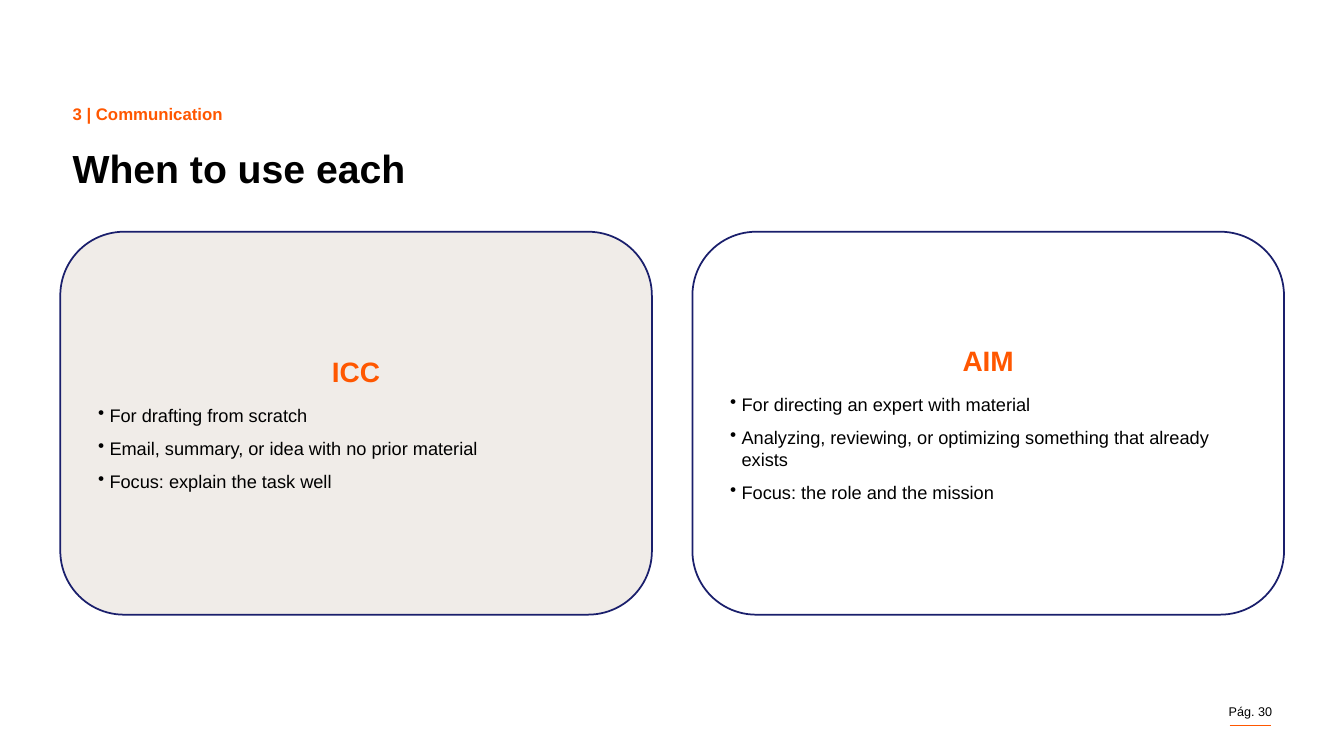
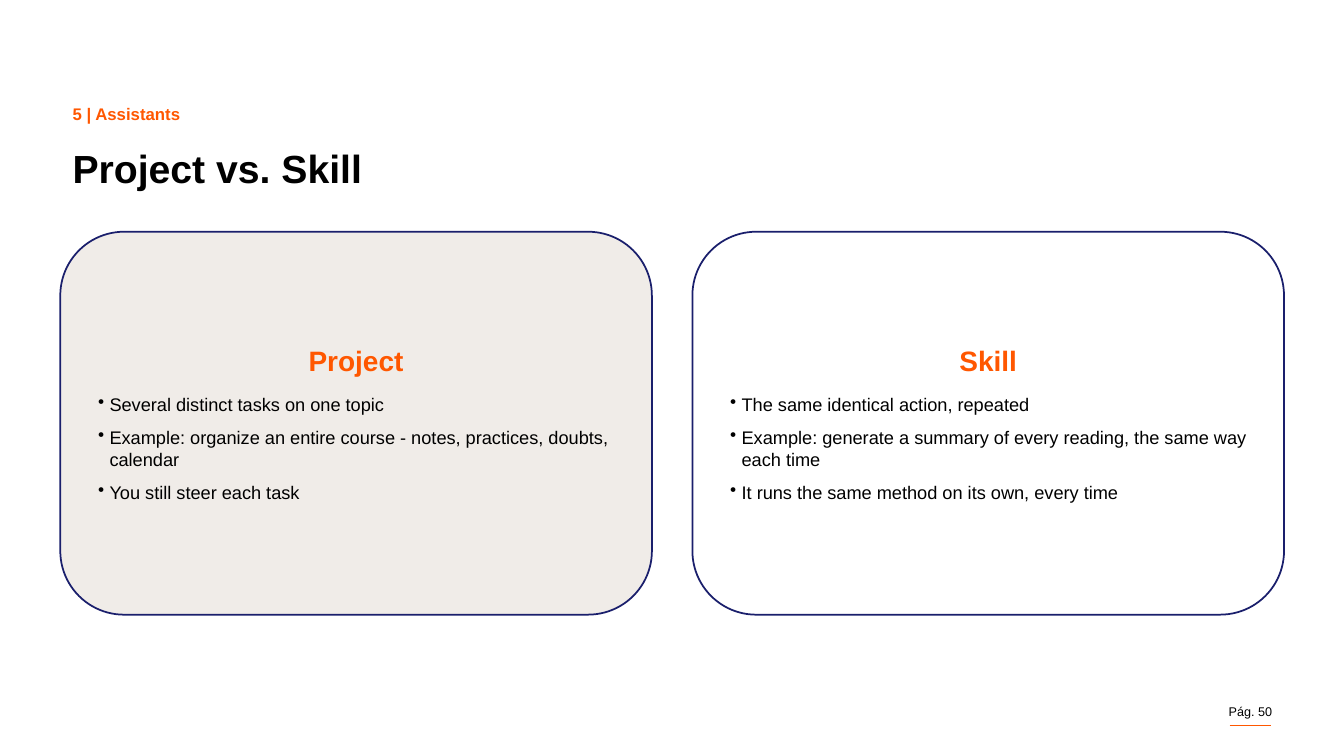
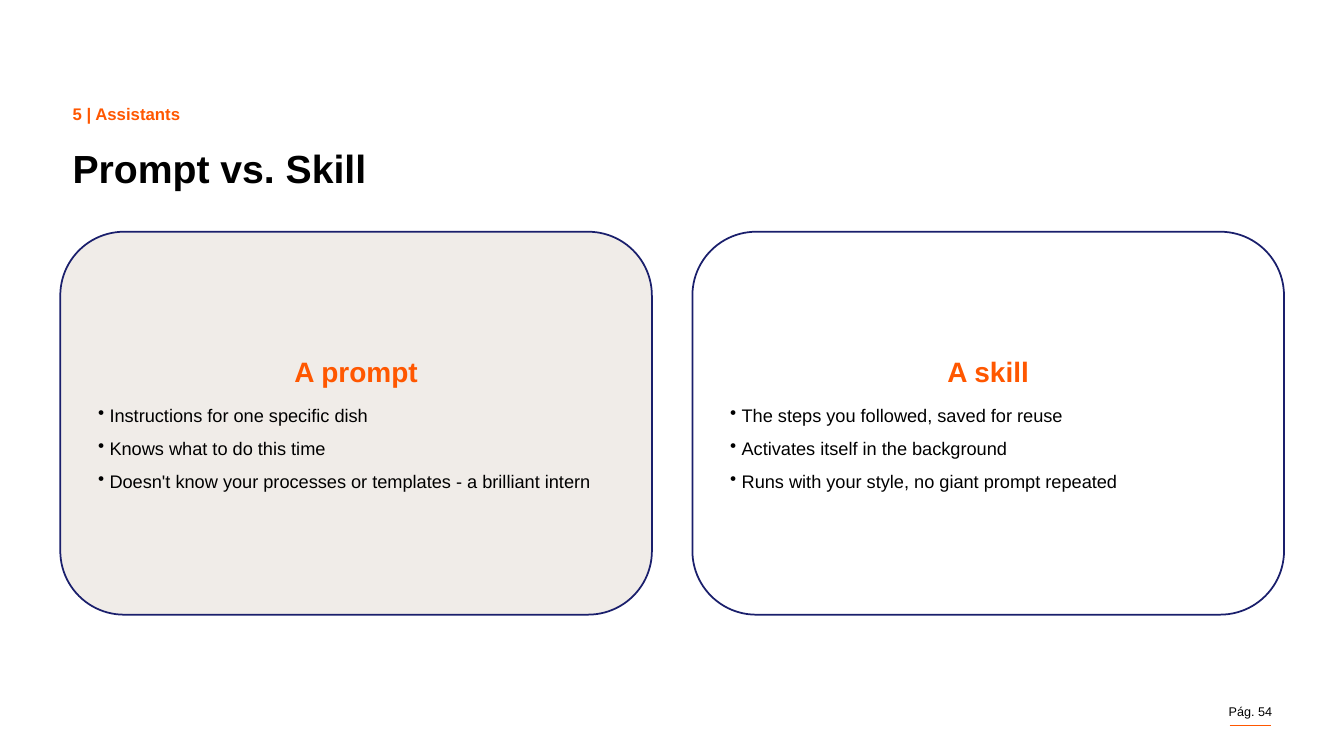
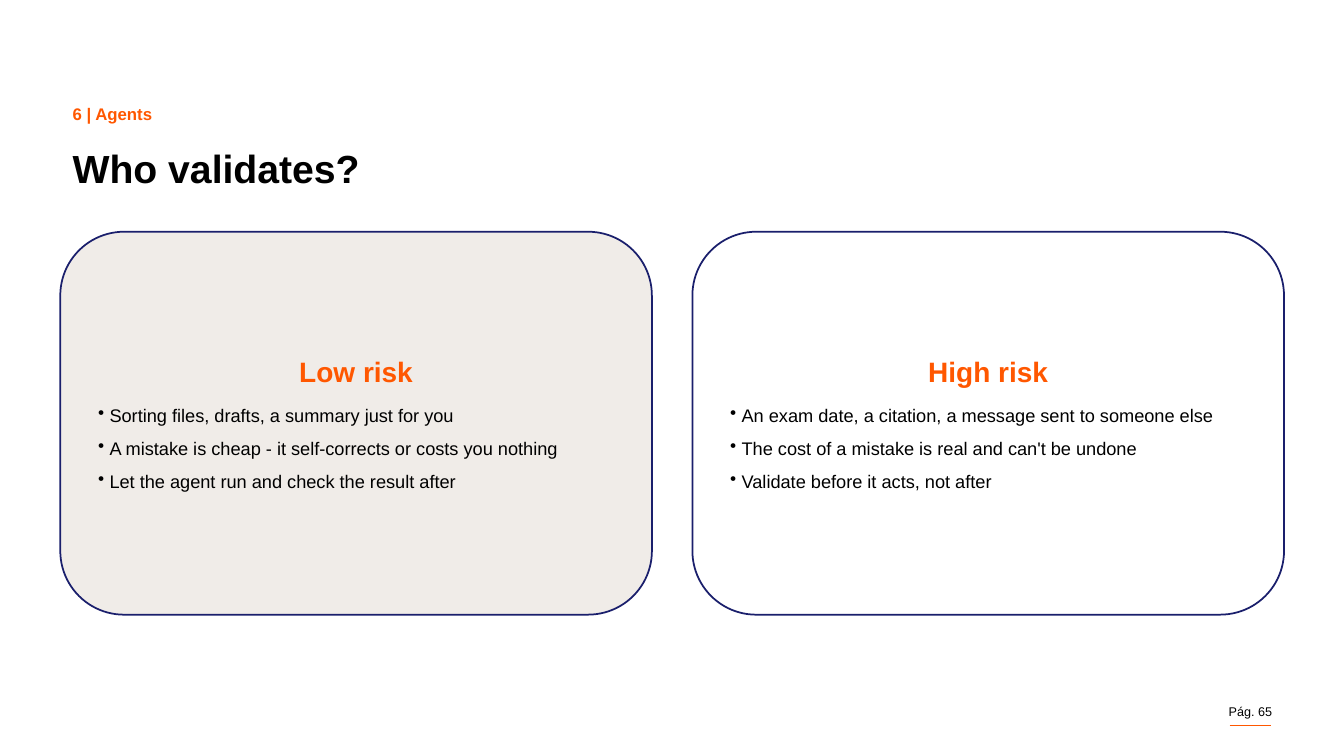
from lxml import etree
from pptx import Presentation
from pptx.dml.color import RGBColor
from pptx.enum import shapes, text
from pptx.oxml import ns
from pptx.util import Cm, Pt

# Shared style
FONT = "Arial"
ORANGE = RGBColor(0xFF, 0x57, 0x00)
NAVY = RGBColor(0x1A, 0x1F, 0x6C)
SAND = RGBColor(0xF0, 0xEC, 0xE8)
WHITE = RGBColor(0xFF, 0xFF, 0xFF)
BLACK = RGBColor(0x00, 0x00, 0x00)

MARGIN = 1.52
CARD_TOP, CARD_WIDTH, CARD_HEIGHT = 5.84, 14.91, 9.65
CARD_GAP = 1.02
CARD_INSET = Cm(0.48)
BULLET_INDENT = Cm(0.29)

# Page number, section, title, then (heading, points) for each card
PAGES = [
    (30, "3 | Communication", "When to use each", [
        ("ICC", [
            "For drafting from scratch",
            "Email, summary, or idea with no prior material",
            "Focus: explain the task well"]),
        ("AIM", [
            "For directing an expert with material",
            "Analyzing, reviewing, or optimizing something that already exists",
            "Focus: the role and the mission"])]),
    (50, "5 | Assistants", "Project vs. Skill", [
        ("Project", [
            "Several distinct tasks on one topic",
            "Example: organize an entire course - notes, practices, doubts, calendar",
            "You still steer each task"]),
        ("Skill", [
            "The same identical action, repeated",
            "Example: generate a summary of every reading, the same way each time",
            "It runs the same method on its own, every time"])]),
    (54, "5 | Assistants", "Prompt vs. Skill", [
        ("A prompt", [
            "Instructions for one specific dish",
            "Knows what to do this time",
            "Doesn't know your processes or templates - a brilliant intern"]),
        ("A skill", [
            "The steps you followed, saved for reuse",
            "Activates itself in the background",
            "Runs with your style, no giant prompt repeated"])]),
    (65, "6 | Agents", "Who validates?", [
        ("Low risk", [
            "Sorting files, drafts, a summary just for you",
            "A mistake is cheap - it self-corrects or costs you nothing",
            "Let the agent run and check the result after"]),
        ("High risk", [
            "An exam date, a citation, a message sent to someone else",
            "The cost of a mistake is real and can't be undone",
            "Validate before it acts, not after"])]),
]


def write(para, words, size, color, bold=False, align=text.PP_ALIGN.LEFT):
    para.text = words
    para.alignment = align
    para.font.name = FONT
    para.font.size = Pt(size)
    para.font.bold = bold
    para.font.color.rgb = color


def add_label(page, left, top, width, height):
    frame = page.shapes.add_textbox(Cm(left), Cm(top), Cm(width), Cm(height)).text_frame
    frame.word_wrap = True
    frame.margin_left = frame.margin_right = frame.margin_top = frame.margin_bottom = 0
    return frame.paragraphs[0]


deck = Presentation()
deck.slide_width, deck.slide_height = Cm(33.87), Cm(19.05)

for number, section, title, cards in PAGES:
    page = deck.slides.add_slide(deck.slide_layouts[6])

    # Footer
    rule = page.shapes.add_connector(
        shapes.MSO_CONNECTOR.STRAIGHT, Cm(30.99), Cm(18.29), Cm(32.03), Cm(18.29))
    rule.line.color.rgb = ORANGE
    rule.line.width = Pt(0.5)
    etree.SubElement(rule._element.spPr, ns.qn("a:effectLst"))
    write(add_label(page, 30.1, 17.73, 1.96, 0.38), f"Pág. {number}", 9, BLACK,
          align=text.PP_ALIGN.RIGHT)

    # Title and section
    para = add_label(page, 1.83, 3.78, 30.2, 1.07)
    para.line_spacing = 0.9
    write(para, title, 28, BLACK, bold=True)
    write(add_label(page, 1.83, 2.62, 4.88, 0.56), section, 12, ORANGE, bold=True)

    # Two cards side by side
    for column, (heading, points) in enumerate(cards):
        card = page.shapes.add_shape(
            shapes.MSO_SHAPE.ROUNDED_RECTANGLE,
            Cm(MARGIN + column * (CARD_WIDTH + CARD_GAP)), Cm(CARD_TOP),
            Cm(CARD_WIDTH), Cm(CARD_HEIGHT))
        card.shadow.inherit = False
        card.fill.solid()
        card.fill.fore_color.rgb = (SAND, WHITE)[column]
        card.line.color.rgb = NAVY
        card.line.width = Pt(1.25)

        frame = card.text_frame
        frame.word_wrap = True
        frame.vertical_anchor = text.MSO_ANCHOR.MIDDLE
        frame.margin_left = frame.margin_right = CARD_INSET
        frame.margin_top = frame.margin_bottom = CARD_INSET

        para = frame.paragraphs[0]
        para.space_after = Pt(12)
        write(para, heading, 20, ORANGE, bold=True, align=text.PP_ALIGN.CENTER)

        for point in points:
            para = frame.add_paragraph()
            para.space_after = Pt(8)
            settings = para._p.get_or_add_pPr()
            settings.set("marL", str(BULLET_INDENT))
            settings.set("indent", str(-BULLET_INDENT))
            etree.SubElement(settings, ns.qn("a:buChar")).set("char", "•")
            write(para, point, 13, BLACK)

deck.save("out.pptx")
